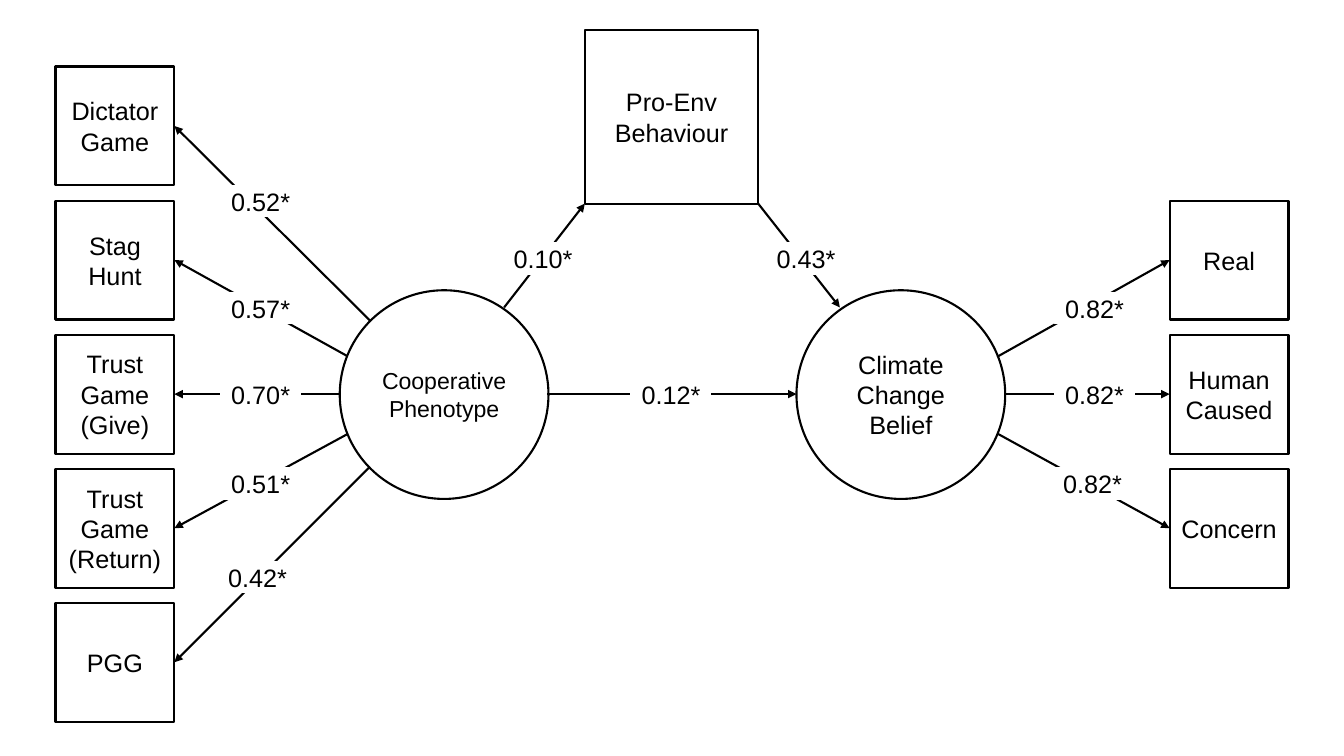
import pptx
import pptx.dml.color
import pptx.enum.shapes
import pptx.enum.text
import pptx.oxml
import pptx.oxml.ns
import pptx.util

Inches = pptx.util.Inches
Pt = pptx.util.Pt
SHAPE = pptx.enum.shapes.MSO_SHAPE
BLACK = pptx.dml.color.RGBColor(0, 0, 0)
WHITE = pptx.dml.color.RGBColor(255, 255, 255)

deck = pptx.Presentation()
deck.slide_width = Inches(13.33)
deck.slide_height = Inches(7.5)
page = deck.slides.add_slide(deck.slide_layouts[6])


def add_node(text, left, top, width, height, kind=SHAPE.RECTANGLE,
             size=18, outline=BLACK, weight=1.5, wrap=True):
    node = page.shapes.add_shape(
        kind, Inches(left), Inches(top), Inches(width), Inches(height))
    node.shadow.inherit = False
    node.fill.solid()
    node.fill.fore_color.rgb = WHITE
    node.line.color.rgb = outline
    node.line.width = Pt(weight)
    frame = node.text_frame
    frame.word_wrap = wrap
    frame.vertical_anchor = pptx.enum.text.MSO_ANCHOR.MIDDLE
    frame.text = text
    for para in frame.paragraphs:
        para.alignment = pptx.enum.text.PP_ALIGN.CENTER
        para.font.name = "Arial"
        para.font.size = Pt(size)
        para.font.color.rgb = BLACK


def add_arrow(start_x, start_y, end_x, end_y):
    arrow = page.shapes.add_connector(
        pptx.enum.shapes.MSO_CONNECTOR.STRAIGHT,
        Inches(start_x), Inches(start_y), Inches(end_x), Inches(end_y))
    arrow.line.color.rgb = BLACK
    arrow.line.width = Pt(1.5)
    namespace = pptx.oxml.ns.nsdecls("a")
    arrow.line._get_or_add_ln().append(
        pptx.oxml.parse_xml(f'<a:tailEnd {namespace} type="triangle"/>'))
    arrow._element.spPr.append(pptx.oxml.parse_xml(f"<a:effectLst {namespace}/>"))


BOX = 1.18
CIRCLE = 2.07
MIDDLE = 3.91
ROW_TOPS = [0.66 + 1.33 * row for row in range(5)]
GAMES_LEFT = 0.55
BELIEFS_LEFT = 11.6

games = ["Dictator Game", "Stag Hunt", "Trust\nGame\n(Give)",
         "Trust Game\n(Return)", "PGG"]
beliefs = ["Real", "Human Caused", "Concern"]
for name, top in zip(games, ROW_TOPS):
    add_node(name, GAMES_LEFT, top, BOX, BOX)
for name, top in zip(beliefs, ROW_TOPS[1:4]):
    add_node(name, BELIEFS_LEFT, top, BOX, BOX)

add_node("Cooperative\nPhenotype", 3.37, 2.88, CIRCLE, CIRCLE,
         kind=SHAPE.OVAL, size=16.5)
add_node("Climate Change Belief", 7.9, 2.88, CIRCLE, CIRCLE, kind=SHAPE.OVAL)
add_node("Pro-Env Behaviour", 5.8, 0.3, 1.72, 1.72)

game_starts = [(3.67, 3.18), (3.44, 3.53), (3.37, MIDDLE), (3.44, 4.31), (3.67, 4.63)]
belief_starts = [(9.89, 3.54), (9.96, MIDDLE), (9.89, 4.3)]
for (x, y), top in zip(game_starts, ROW_TOPS):
    add_arrow(x, y, GAMES_LEFT + BOX, top + BOX / 2)
for (x, y), top in zip(belief_starts, ROW_TOPS[1:4]):
    add_arrow(x, y, BELIEFS_LEFT, top + BOX / 2)
add_arrow(5.43, MIDDLE, 7.9, MIDDLE)
add_arrow(5, 3.05, 5.8, 2.02)
add_arrow(7.52, 2.02, 8.33, 3.05)

coefficients = [
    ("0.10*", 4.99, 2.41), ("0.43*", 7.6, 2.41), ("0.12*", 6.26, 3.76),
    ("0.52*", 2.19, 1.84), ("0.57*", 2.19, 2.9), ("0.70*", 2.19, 3.76),
    ("0.51*", 2.19, 4.64), ("0.42*", 2.16, 5.57),
    ("0.82*", 10.46, 2.9), ("0.82*", 10.46, 3.76), ("0.82*", 10.44, 4.64),
]
for value, left, top in coefficients:
    add_node(value, left, top, 0.79, 0.31, outline=WHITE, weight=1, wrap=False)

deck.save("out.pptx")
